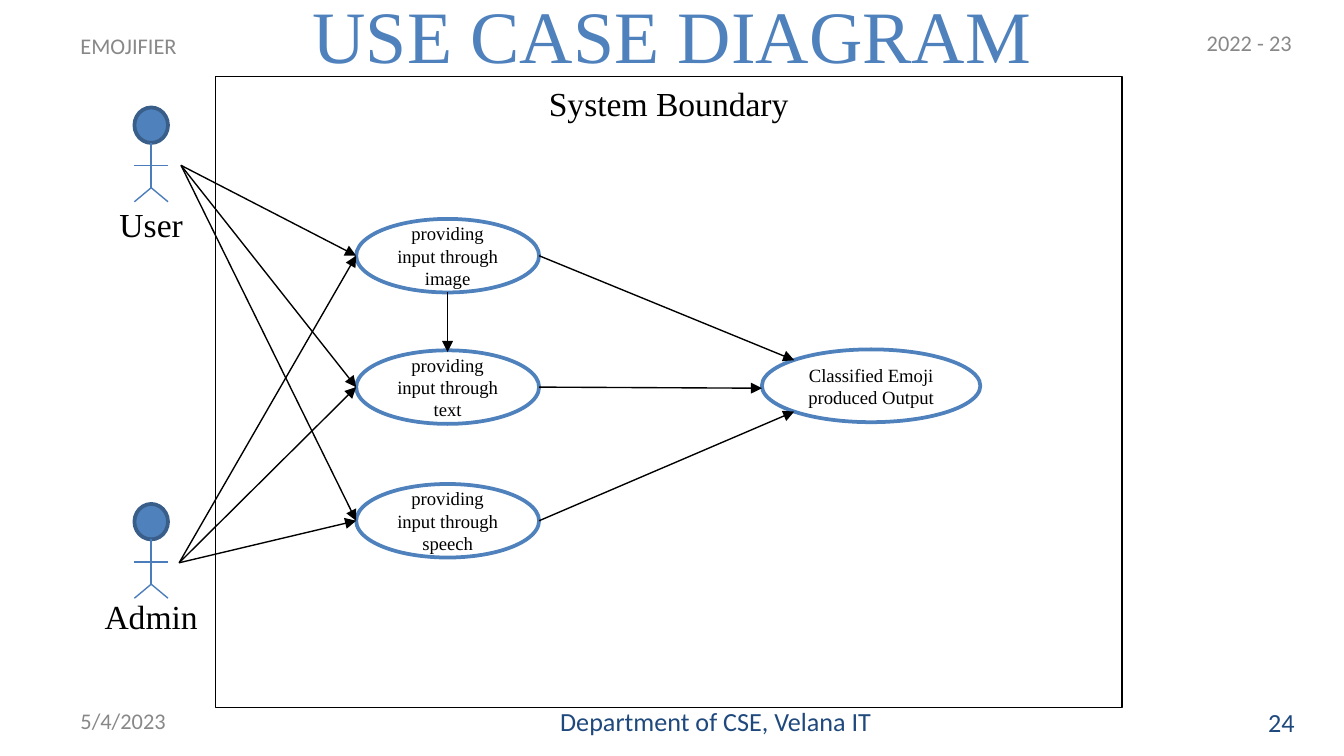
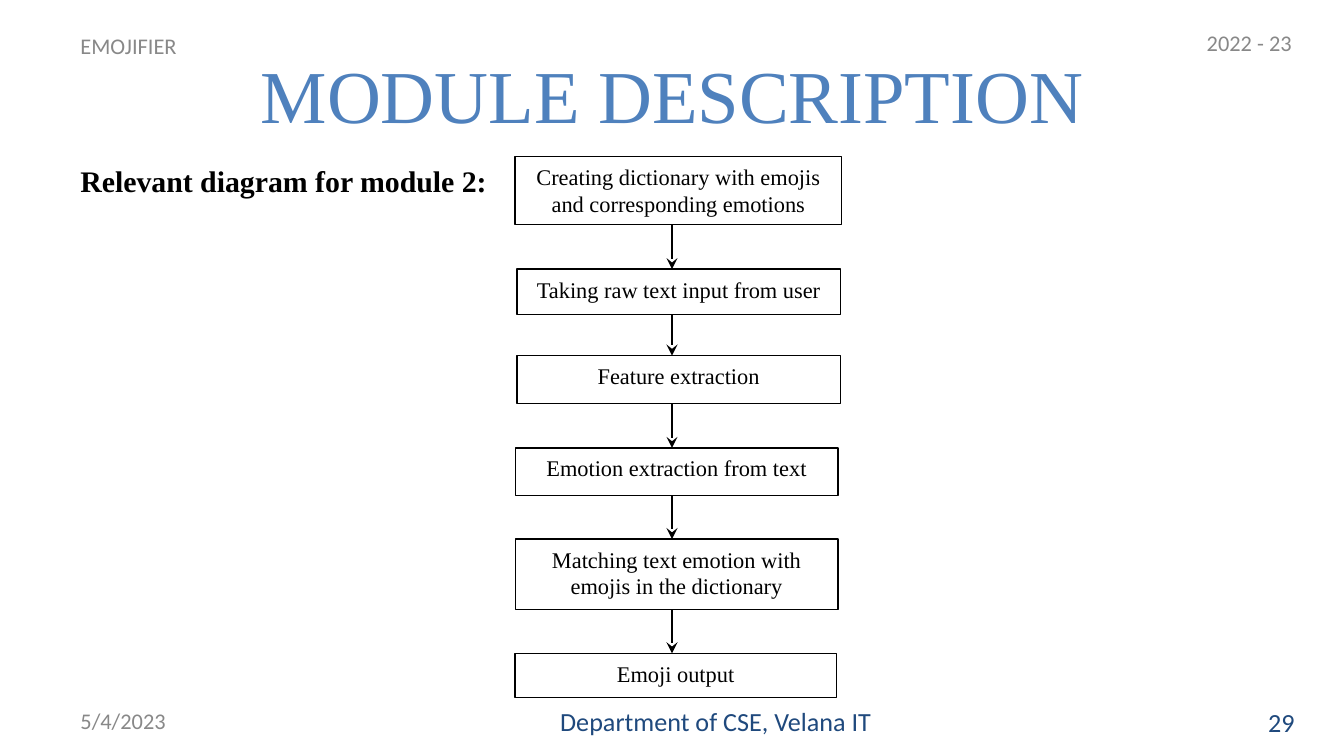
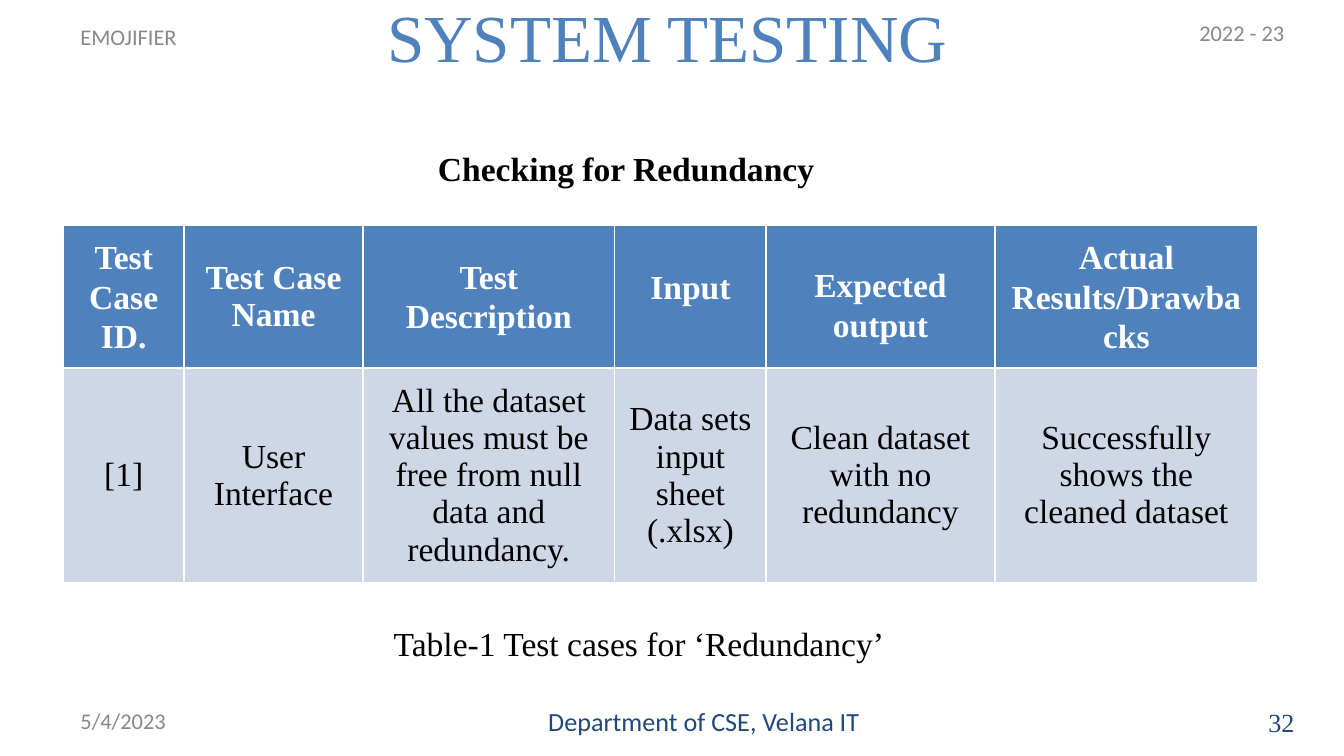
from lxml import etree
from pptx import Presentation
from pptx.dml.color import RGBColor
from pptx.enum import shapes as sh, text as tx
from pptx.oxml import ns
from pptx.util import Pt

BLUE = RGBColor(0x4F, 0x81, 0xBD)
RIM = RGBColor(0x39, 0x5E, 0x89)
LIMB = RGBColor(0x4A, 0x7D, 0xBA)
NAVY = RGBColor(0x1F, 0x49, 0x7D)
GREY = RGBColor(0x88, 0x88, 0x88)
PALE = RGBColor(0xCF, 0xD7, 0xE7)
BLACK = RGBColor(0, 0, 0)
WHITE = RGBColor(255, 255, 255)
SERIF, SANS = "Times New Roman", "Calibri"
LEFT, MID, RIGHT = tx.PP_ALIGN.LEFT, tx.PP_ALIGN.CENTER, tx.PP_ALIGN.RIGHT
TOP, CENTRE = tx.MSO_ANCHOR.TOP, tx.MSO_ANCHOR.MIDDLE
OVAL, RECT = sh.MSO_SHAPE.OVAL, sh.MSO_SHAPE.RECTANGLE


class Deck:
    """Holds the shared style and the current slide."""

    def __init__(self):
        """Open an empty deck of 720 by 405 points."""
        self.prs = Presentation()
        self.prs.slide_width, self.prs.slide_height = Pt(720), Pt(405)
        self.slide = None

    def style(self, frame, words, size, color=BLACK, font=SERIF, bold=False,
              align=LEFT, anchor=TOP):
        """Fill a text frame with one formatted paragraph and return it."""
        frame.text = words
        frame.word_wrap = True
        frame.vertical_anchor = anchor
        para = frame.paragraphs[0]
        para.alignment = align
        for run in para.runs:
            run.font.size, run.font.name = Pt(size), font
            run.font.bold, run.font.color.rgb = bold, color
        return para

    def page(self, title, box, size, num, lift=0, shift=0, font=SANS):
        """Start a slide with its title, header and footer."""
        self.slide = self.prs.slides.add_slide(self.prs.slide_layouts[5])
        head = self.slide.shapes.title
        head.left, head.top, head.width, head.height = map(Pt, box)
        head.text_frame.auto_size = tx.MSO_AUTO_SIZE.NONE
        self.style(head.text_frame, title, size, BLUE, align=MID, anchor=CENTRE)
        small = dict(size=12, color=GREY, font=SANS, anchor=CENTRE)
        large = dict(size=14, color=NAVY, align=RIGHT, anchor=CENTRE)
        self.label("EMOJIFIER", 36, 16.5 - lift, 222, 16, **small)
        self.label("2022 - 23", 639.4 - shift, 9 - lift, 78, 27, **small)
        self.label("5/4/2023", 36, 375, 168, 22, **small)
        self.label("Department of CSE, Velana IT", 246 - 1.6 * shift, 375.3,
                   228, 22, font=SANS, **large)
        self.label(num, 648, 375.6, 52.6, 22, font=font, **large)

    def label(self, words, x, y, w, h, size=18, pad=3.6, **look):
        """Add a text box and return its paragraph."""
        box = self.slide.shapes.add_textbox(Pt(x), Pt(y), Pt(w), Pt(h))
        frame = box.text_frame
        frame.margin_top = frame.margin_bottom = Pt(pad)
        return self.style(frame, words, size, **look)

    def shape(self, kind, x, y, w, h, line, width, fill=None, words="",
              size=10, anchor=CENTRE):
        """Add a preset shape, with centred text if there is any."""
        item = self.slide.shapes.add_shape(kind, Pt(x), Pt(y), Pt(w), Pt(h))
        item.shadow.inherit = False
        item.line.color.rgb, item.line.width = line, Pt(width)
        if fill is None:
            item.fill.background()
        else:
            item.fill.solid()
            item.fill.fore_color.rgb = fill
        if words:
            self.style(item.text_frame, words, size, align=MID, anchor=anchor)

    def line(self, start, end, color=BLACK, tip=None):
        """Add a straight line, with an arrowhead at its end if named."""
        con = self.slide.shapes.add_connector(
            sh.MSO_CONNECTOR.STRAIGHT, *map(Pt, (*start, *end)))
        con.line.color.rgb, con.line.width = color, Pt(0.75)
        props = con.element.spPr
        if tip:
            etree.SubElement(props.find(ns.qn("a:ln")), ns.qn("a:tailEnd"),
                             type=tip)
        etree.SubElement(props, ns.qn("a:effectLst"))

    def actor(self, name, y, drop):
        """Draw a stick figure with its name below."""
        mid, hip = 81, y + 43
        self.shape(OVAL, 72, y, 18, 19, RIM, 2, BLUE)
        for start, end in (((72, y + 31), (90, y + 31)),
                           ((mid, y + 19), (mid, hip)),
                           ((mid, hip), (72, y + 50.5)),
                           ((mid, hip), (90, y + 50.5))):
            self.line(start, end, LIMB)
        self.label(name, 45, y + drop, 72, 29, align=MID)

    def table(self, x, y, widths, heights, rows):
        """Add a table with a blue header row and pale body rows."""
        grid = self.slide.shapes.add_table(
            len(rows), len(widths), Pt(x), Pt(y), Pt(sum(widths)),
            Pt(sum(heights))).table
        for col, width in zip(grid.columns, widths):
            col.width = Pt(width)
        for r, (row, height) in enumerate(zip(rows, heights)):
            grid.rows[r].height = Pt(height)
            top = r == 0
            for c, words in enumerate(row):
                cell = grid.cell(r, c)
                cell.fill.solid()
                cell.fill.fore_color.rgb = BLUE if top else PALE
                para = self.style(cell.text_frame, words, 18,
                                  WHITE if top else BLACK, bold=top, align=MID)
                cell.vertical_anchor = CENTRE
                if top and words != "Test Case Name":
                    para.line_spacing = 1.07
        return grid


def cases(deck):
    """Build the use case diagram."""
    deck.page("USE CASE DIAGRAM", (36, 0, 648, 36), 39.6, "24")
    deck.actor("User", 57.6, 48)
    deck.actor("Admin", 270, 45.5)
    deck.shape(RECT, 115.5, 41, 485.5, 338, BLACK, 0.75,
               words="System Boundary", size=18, anchor=TOP)
    left, wide, high = 190.8, 98, 39.4
    mids = (137, 207.4, 279)
    for word, mid in zip(("image", "text", "speech"), mids):
        deck.shape(OVAL, left, mid - high / 2, wide, high, BLUE, 2, WHITE,
                   "providing input through " + word)
    deck.shape(OVAL, 408.2, 187.2, 117, 39, BLUE, 2, WHITE,
               "Classified Emoji produced Output")
    centre = left + wide / 2
    deck.line((centre, mids[0] + high / 2), (centre, 188.6), tip="triangle")
    for start in ((97, 88.6), (96, 301.5)):
        for mid in mids:
            deck.line(start, (left, mid), tip="triangle")
    for mid, end in zip(mids, ((425.5, 193), (408.2, 208), (425.5, 220.5))):
        deck.line((left + wide, mid), end, tip="triangle")


def module(deck):
    """Build the flow of module 2."""
    deck.page("MODULE DESCRIPTION", (36, 16.5, 648, 67.5), 40, "29")
    deck.label("Relevant diagram for module 2:", 36, 83.5, 648, 259, 16,
               bold=True)
    steps = (
        ("Creating dictionary with emojis and corresponding emotions",
         276, 83.8, 175, 36.5),
        ("Taking raw text input from user", 277, 144.2, 173.3, 24.3),
        ("Feature extraction", 277, 190.5, 173.3, 25.7),
        ("Emotion extraction from text", 276, 240, 173, 25.4),
        ("Matching text emotion with emojis in the dictionary",
         276, 288.8, 173, 37.8),
        ("Emoji output", 276, 350, 172, 23.7),
    )
    for words, *box in steps:
        deck.shape(RECT, *box, BLACK, 0.75, WHITE, words, 12, TOP)
    for (_, _, y, _, h), (_, _, below, _, _) in zip(steps, steps[1:]):
        deck.line((360, y + h), (360, below), tip="stealth")


def tests(deck):
    """Build the table of test cases."""
    deck.page("SYSTEM TESTING", (33.5, -8, 648, 54), 36, "32", 5, 4, SERIF)
    grid = deck.table(
        34, 120.5, (64.6, 96, 134.7, 81.3, 122.4, 141), (70.5, 107),
        (("Test Case ID.", "Test Case Name", "Test Description", "Input",
          "Expected output", "Actual Results/Drawbacks"),
         ("[1]", "User Interface",
          "All the dataset values must be free from null data and redundancy.",
          "Data sets input sheet (.xlsx)", "Clean dataset with no redundancy",
          "Successfully shows the cleaned dataset")))
    grid.cell(0, 3).margin_bottom = Pt(14)
    grid.cell(0, 4).margin_top = Pt(13)
    para = deck.label("Checking for Redundancy", 227.5, 72, 252.7, 41, pad=7.2,
                      bold=True)
    para.space_before = Pt(4.5)
    para = deck.label("Table-1 Test cases for ‘Redundancy’", 203.8, 322, 304,
                      36, pad=7.2, align=tx.PP_ALIGN.JUSTIFY)
    para.line_spacing = 1.2


deck = Deck()
cases(deck)
module(deck)
tests(deck)
deck.prs.save("out.pptx")
